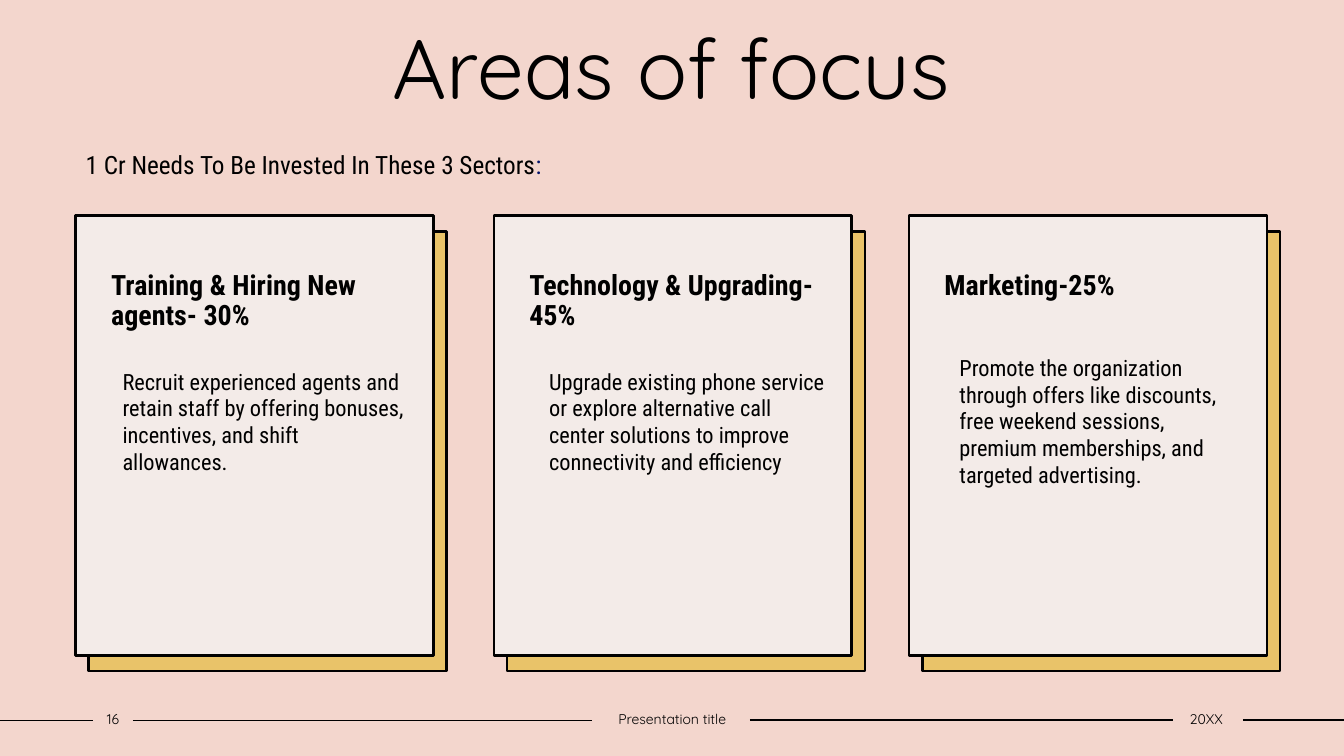
import pptx
import pptx.util
import pptx.dml.color
import pptx.enum.shapes
import pptx.enum.text
import lxml.etree
from pptx.util import Cm, Pt
from pptx.dml.color import RGBColor

PINK = RGBColor(0xF3, 0xD6, 0xCD)
CREAM = RGBColor(0xF3, 0xEB, 0xE8)
GOLD = RGBColor(0xE9, 0xC3, 0x69)
BLACK = RGBColor(0, 0, 0)
NAVY = RGBColor(0x03, 0x12, 0x6A)
ALIGN = pptx.enum.text.PP_ALIGN
ANCHOR = pptx.enum.text.MSO_ANCHOR
DISPLAY, CONDENSED = "Quicksand", "Roboto Condensed"


def write(holder, text, font, size, align=ALIGN.LEFT, anchor=ANCHOR.TOP):
    frame = holder.text_frame
    frame.word_wrap = True
    frame.auto_size = pptx.enum.text.MSO_AUTO_SIZE.NONE
    frame.vertical_anchor = anchor
    frame.text = text
    paragraph = frame.paragraphs[0]
    paragraph.alignment = align
    paragraph.font.name = font
    paragraph.font.size = Pt(size)
    paragraph.font.color.rgb = BLACK
    return paragraph


def add_panel(left, top, fill):
    panel = slide.shapes.add_shape(
        pptx.enum.shapes.MSO_SHAPE.RECTANGLE,
        Cm(left), Cm(top), Cm(9.02), Cm(11.07))
    panel.shadow.inherit = False
    panel.fill.solid()
    panel.fill.fore_color.rgb = fill
    panel.line.color.rgb = BLACK
    panel.line.width = Pt(2)
    return panel


deck = pptx.Presentation()
deck.slide_width, deck.slide_height = Cm(33.87), Cm(19.05)
slide = deck.slides.add_slide(deck.slide_layouts[5])
slide.background.fill.solid()
slide.background.fill.fore_color.rgb = PINK

# Title
title = slide.shapes.title
title.left, title.top, title.width, title.height = Cm(3.15), Cm(0.25), Cm(27.53), Cm(2.82)
write(title, "Areas of focus", DISPLAY, 60, ALIGN.CENTER, ANCHOR.MIDDLE)

# Introductory line
intro = slide.shapes.add_textbox(Cm(1.91), Cm(3.63), Cm(16.94), Cm(1.02))
sentence = write(intro, "1 Cr Needs To Be Invested In These 3 Sectors", CONDENSED, 18)
colon = sentence.add_run()
colon.text = ":"
colon.font.color.rgb = NAVY

# Sector cards: card left, heading, detail left, detail top, detail
sectors = [
    (1.91, "Training & Hiring New agents- 30%", 2.84, 9.14,
     "Recruit experienced agents and retain staff by offering bonuses, "
     "incentives, and shift allowances."),
    (12.45, "Technology & Upgrading- 45%", 13.59, 9.14,
     "Upgrade existing phone service or explore alternative call center "
     "solutions to improve connectivity and efficiency"),
    (22.91, "Marketing-25%", 23.93, 8.79,
     "Promote the organization through offers like discounts, free weekend "
     "sessions, premium memberships, and targeted advertising."),
]
for card_left, heading, detail_left, detail_top, detail in sectors:
    add_panel(card_left + 0.33, 5.84, GOLD)
    card = add_panel(card_left, 5.44, CREAM)
    card_frame = card.text_frame
    card_frame.margin_left, card_frame.margin_top = Cm(0.89), Cm(1.4)
    card_frame.margin_right, card_frame.margin_bottom = Cm(0.25), Cm(0.13)
    heading_line = write(card, heading, CONDENSED, 20)
    heading_line.font.bold = True
    heading_line.line_spacing = 0.9
    description = slide.shapes.add_textbox(
        Cm(detail_left), Cm(detail_top), Cm(7.62), Cm(7.75))
    write(description, detail, CONDENSED, 16)

# Footer rules
for start, end, height in [(0, 2.34, 18.16), (3.35, 14.91, 18.16),
                           (18.9, 29.57, 18.14), (31.32, 33.87, 18.14)]:
    rule = slide.shapes.add_connector(
        pptx.enum.shapes.MSO_CONNECTOR.STRAIGHT,
        Cm(start), Cm(height), Cm(end), Cm(height))
    rule.line.color.rgb = BLACK
    rule.line.width = Pt(1)
    lxml.etree.SubElement(rule._element.spPr, pptx.oxml.ns.qn("a:effectLst"))

# Footer labels
for left, width, label in [(2.34, 1.02, "16"),
                           (14.91, 4.06, "Presentation title"),
                           (29.51, 1.78, "20XX")]:
    footer = slide.shapes.add_textbox(Cm(left), Cm(17.78), Cm(width), Cm(0.69))
    footer.text_frame.margin_left = footer.text_frame.margin_right = 0
    write(footer, label, DISPLAY, 10, ALIGN.CENTER, ANCHOR.MIDDLE)

deck.save("out.pptx")
